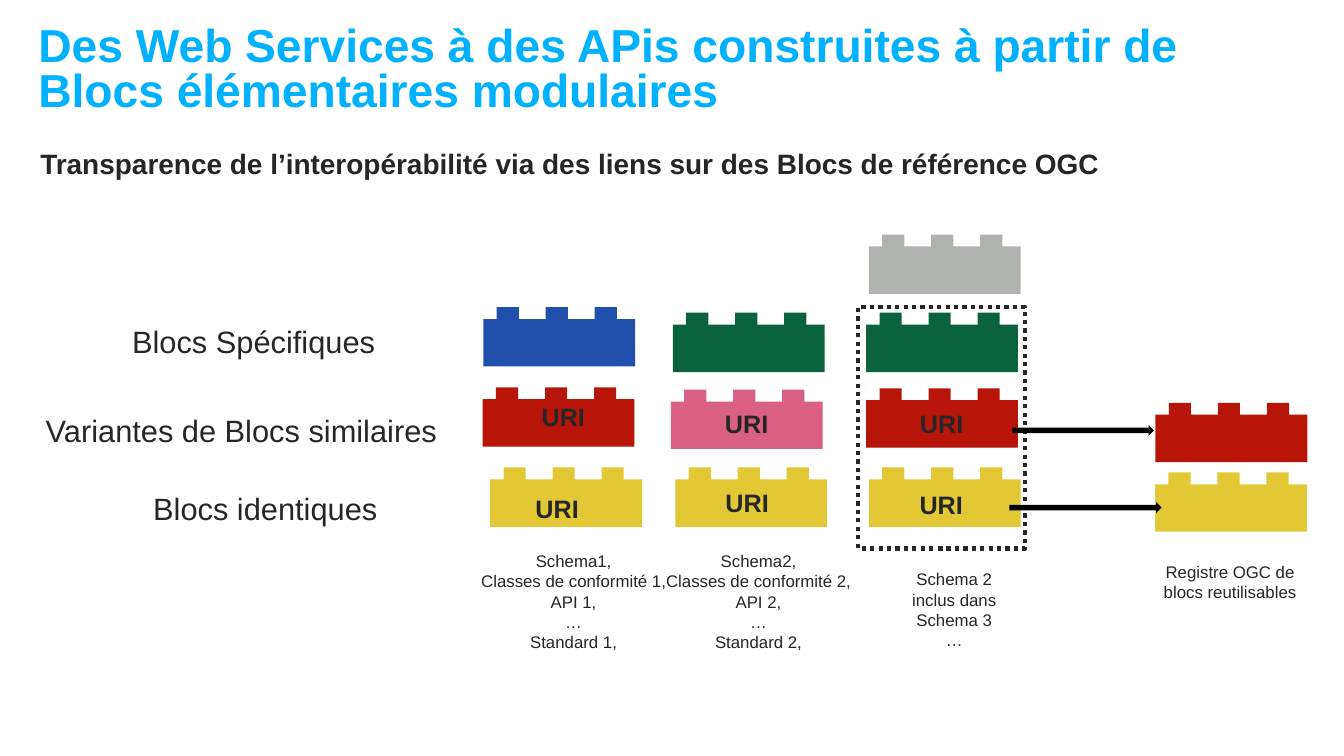
from pptx import Presentation
from pptx.dml.color import RGBColor
from pptx.enum.dml import MSO_LINE
from pptx.enum.shapes import MSO_SHAPE as Shape
from pptx.enum.text import MSO_ANCHOR as Anchor, MSO_AUTO_SIZE as Fit, PP_ALIGN as Align
from pptx.util import Cm, Pt

FONT = "Arial"
INK, SKY, BLACK = "262626", "00B1FF", "000000"
YELLOW, RED, GREEN = "E3C836", "B71508", "0B633E"
PINK, BLUE, GREY = "D95F83", "204FAC", "B0B2AF"


def color(code):
    return RGBColor.from_string(code)


class Board:
    """Holds the slide and draws its elements; all lengths are in cm."""

    def __init__(self, slide):
        self.slide = slide
        self.shapes = slide.shapes

    def style(self, box, text, size, bold=False, ink=INK, align=Align.CENTER,
              anchor=Anchor.TOP, pads=(0.25, 0.13), spacing=None):
        """Set the text of a box and format it."""
        frame = box.text_frame
        frame.text = text
        frame.word_wrap = True
        frame.auto_size = Fit.NONE
        frame.vertical_anchor = anchor
        frame.margin_left = frame.margin_right = Cm(pads[0])
        frame.margin_top = frame.margin_bottom = Cm(pads[1])
        for para in frame.paragraphs:
            para.alignment = align
            if spacing:
                para.line_spacing = spacing
            for run in para.runs:
                font = run.font
                font.name, font.size, font.bold = FONT, Pt(size), bold
                font.color.rgb = color(ink)

    def title(self, text, left, top, width, height):
        box = self.shapes.title
        box.left, box.top = Cm(left), Cm(top)
        box.width, box.height = Cm(width), Cm(height)
        self.style(box, text, 66, True, SKY, Align.LEFT, Anchor.MIDDLE, spacing=0.8)

    def text(self, text, left, top, width, height, size, **look):
        box = self.shapes.add_textbox(Cm(left), Cm(top), Cm(width), Cm(height))
        self.style(box, text, size, **look)

    def solid(self, home, kind, left, top, width, height, fill):
        """Add a filled shape without outline to a slide or a group."""
        shape = home.add_shape(kind, Cm(left), Cm(top), Cm(width), Cm(height))
        shape.shadow.inherit = False
        shape.fill.solid()
        shape.fill.fore_color.rgb = color(fill)
        shape.line.fill.background()

    def brick(self, left, top, fill):
        """Group a body, placed at left and top, with three studs above it."""
        parts = self.shapes.add_group_shape().shapes
        self.solid(parts, Shape.RECTANGLE, left, top, 7.65, 2.39, fill)
        for i in range(3):
            self.solid(parts, Shape.RECTANGLE, left + 0.67 + 2.47 * i, top - 0.6,
                       1.12, 1.17, fill)

    def arrow(self, left, top, width):
        self.solid(self.shapes, Shape.RIGHT_ARROW, left, top, width, 0.56, BLACK)

    def frame(self, left, top, width, height):
        box = self.shapes.add_shape(Shape.RECTANGLE, Cm(left), Cm(top),
                                    Cm(width), Cm(height))
        box.shadow.inherit = False
        box.fill.background()
        box.line.color.rgb = color(INK)
        box.line.width = Pt(6)
        box.line.dash_style = MSO_LINE.ROUND_DOT


def main():
    deck = Presentation()
    deck.slide_width, deck.slide_height = Cm(67.74), Cm(38.1)
    board = Board(deck.slides.add_slide(deck.slide_layouts[5]))

    board.title("Des Web Services à des APis construites à partir de "
                "Blocs élémentaires modulaires", 1.68, 1.5, 62.66, 4.24)
    board.text("Transparence de l’interopérabilité via des liens sur des "
               "Blocs de référence OGC", 1.78, 7.01, 55.3, 1.96, 40,
               bold=True, align=Align.LEFT, spacing=1.15)

    bricks = [
        (24.71, 24.16, YELLOW), (34.04, 24.16, YELLOW), (43.79, 24.16, YELLOW),
        (24.33, 20.12, RED), (33.81, 20.24, PINK), (43.66, 20.17, RED),
        (24.36, 16.08, BLUE), (33.91, 16.36, GREEN), (43.66, 16.36, GREEN),
        (43.79, 12.42, GREY), (58.22, 24.41, YELLOW), (58.24, 20.9, RED),
    ]
    for left, top, fill in bricks:
        board.brick(left, top, fill)

    for label, left, top, width in [
        ("Blocs Spécifiques", 3, 16.13, 19.58),
        ("Variantes de Blocs similaires", 1.47, 20.62, 21.41),
        ("Blocs identiques", 4.39, 24.56, 17.98),
    ]:
        board.text(label, left, top, width, 2.13, 44)

    board.frame(43.26, 15.47, 8.41, 12.17)

    for left, top in [(26.8, 20.09), (36.04, 20.42), (45.87, 20.42),
                      (26.49, 24.69), (36.07, 24.41), (45.85, 24.49)]:
        board.text("URI", left, top, 3.18, 1.83, 36, bold=True,
                   anchor=Anchor.MIDDLE, pads=(0.15, 0.15))

    board.arrow(50.88, 25.3, 7.67)
    board.arrow(51.03, 21.41, 7.14)

    for num, left in [(1, 23.88), (2, 33.2)]:
        board.text(f"Schema{num},\nClasses de conformité {num},\nAPI {num},\n…\n"
                   f"Standard {num},", left, 27.64, 10.06, 7.44, 24)
    board.text("Schema 2\ninclus dans\nSchema 3\n…", 43.51, 28.55, 9.17, 5.38, 24)
    board.text("Registre OGC de blocs reutilisables", 58.17, 28.19, 7.65, 2.31, 24)

    deck.save("out.pptx")


if __name__ == "__main__":
    main()
